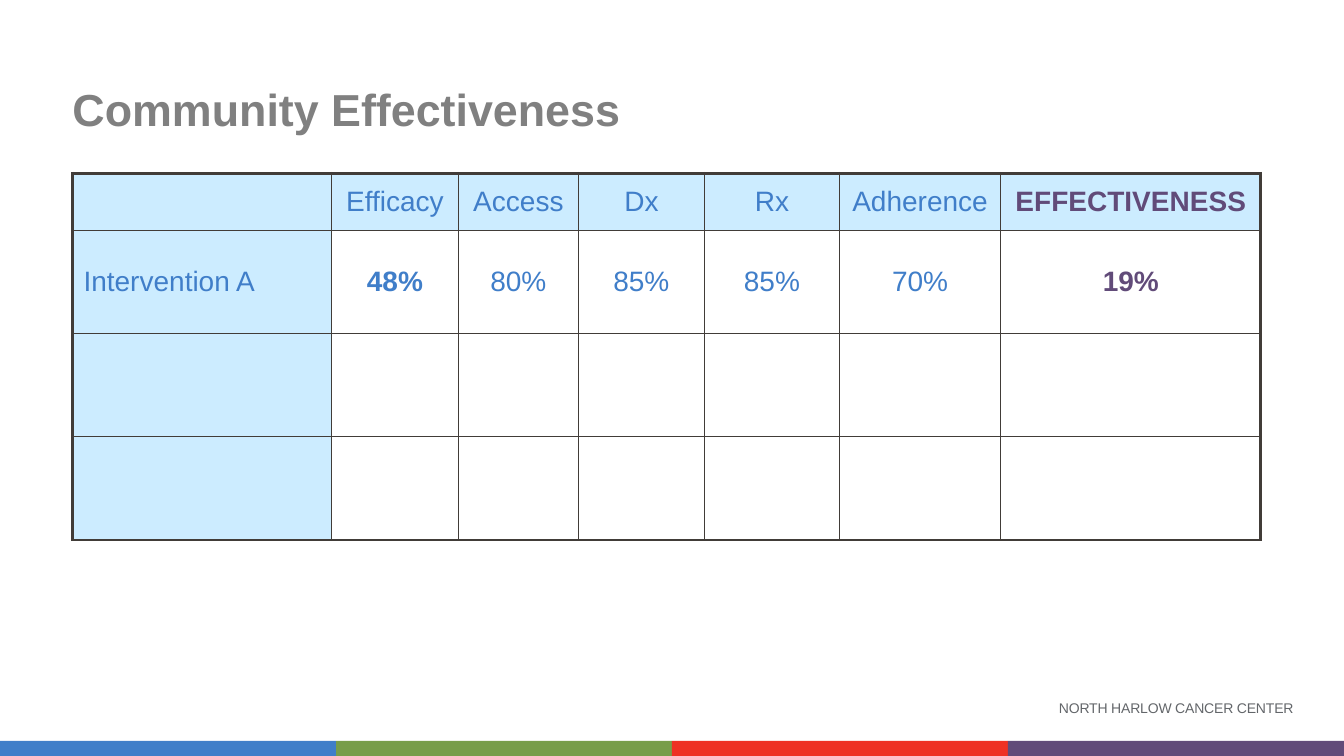
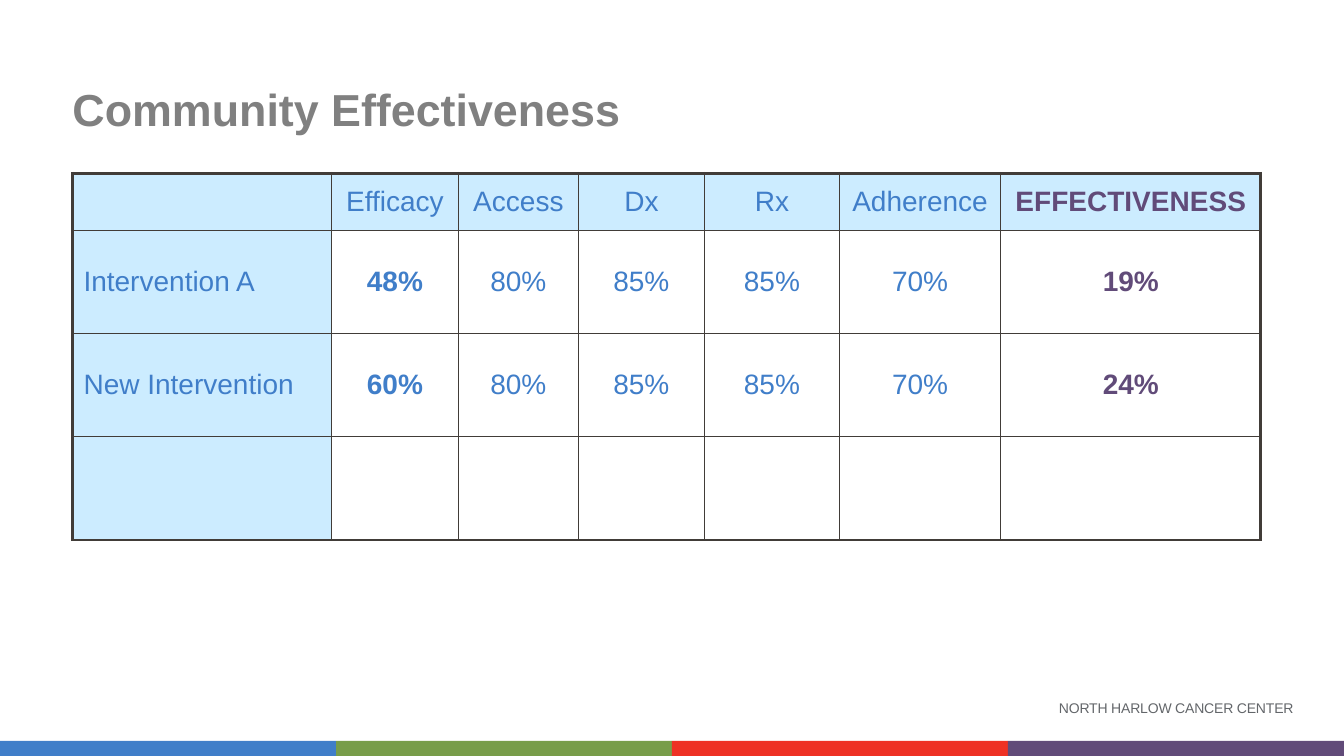
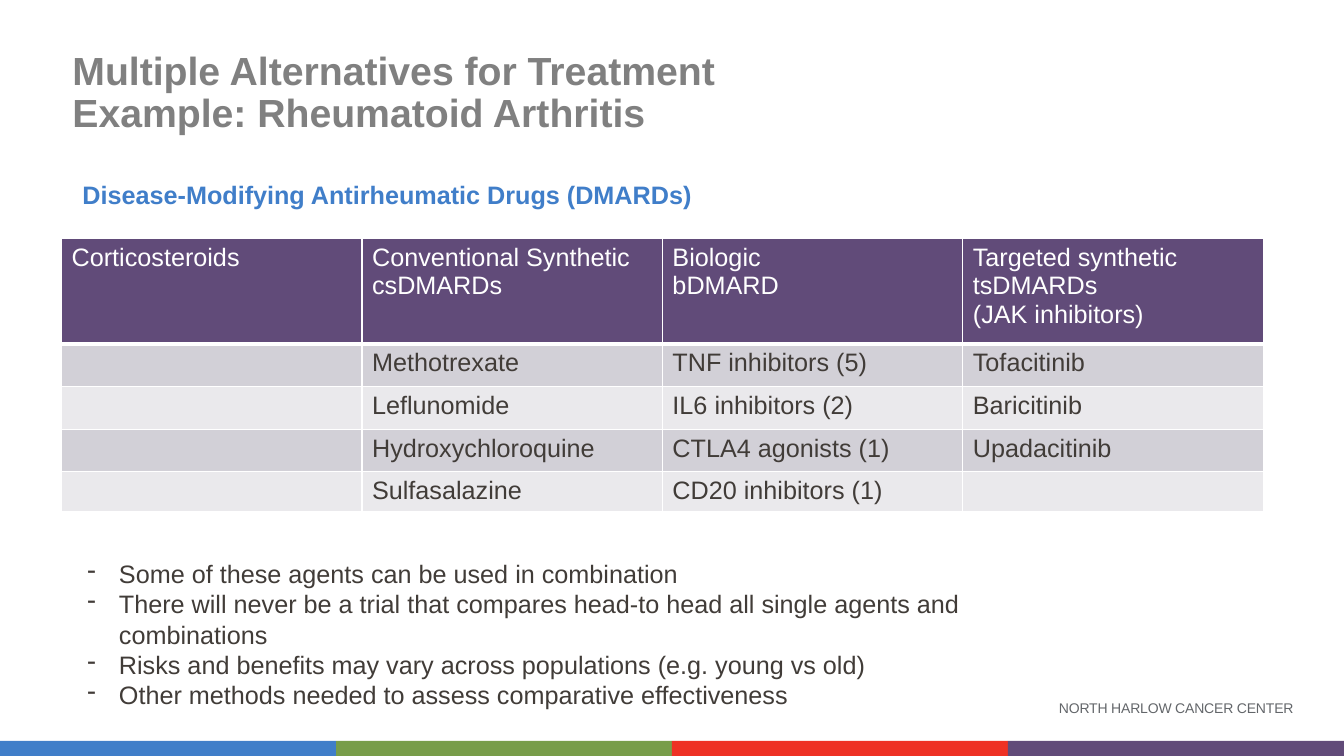
from dataclasses import dataclass
from typing import Callable, NamedTuple, Optional

from lxml import etree
from pptx import Presentation
from pptx import util as u
from pptx.dml.color import RGBColor
from pptx.enum import shapes, text
from pptx.oxml import ns
from pptx.slide import Slide

FONT = "Arial"
BLUE, GREEN, RED, PURPLE = "407EC9", "789D4A", "EE3124", "614B79"
INK, WHITE, TITLE_GRAY, FOOTER_GRAY = "413C38", "FFFFFF", "808080", "63666A"
PALE_BLUE, BAND_DARK, BAND_LIGHT = "CCECFF", "D2D0D7", "EAE9EC"
SLIDE_WIDTH, SLIDE_HEIGHT, STRIPE_HEIGHT = 960, 540, 10.8
LEFT, CENTER, RIGHT = text.PP_ALIGN.LEFT, text.PP_ALIGN.CENTER, text.PP_ALIGN.RIGHT
TOP, MIDDLE, BOTTOM = text.MSO_ANCHOR.TOP, text.MSO_ANCHOR.MIDDLE, text.MSO_ANCHOR.BOTTOM


class Box(NamedTuple):
    left: float
    top: float
    width: float
    height: float


@dataclass(frozen=True)
class TextStyle:
    size: float
    color: str
    bold: bool = False
    align: text.PP_ALIGN = LEFT
    anchor: text.MSO_ANCHOR = TOP
    line_spacing: Optional[float] = None


@dataclass(frozen=True)
class CellStyle:
    text_style: TextStyle
    fill: Optional[str]
    borders: dict[str, float]


@dataclass(frozen=True)
class Grid:
    left: float
    top: float
    columns: list[float]
    rows: list[float]
    line_color: str
    side_margin: float
    style_for: Callable[[int, int], CellStyle]


def rgb(color: str) -> RGBColor:
    return RGBColor.from_string(color)


def format_paragraph(paragraph, style: TextStyle) -> None:
    paragraph.alignment = style.align
    if style.line_spacing:
        paragraph.line_spacing = style.line_spacing
    for run in paragraph.runs:
        run.font.name = FONT
        run.font.size = u.Pt(style.size)
        run.font.bold = style.bold
        run.font.color.rgb = rgb(style.color)


def add_text(slide: Slide, box: Box, lines: list[str], style: TextStyle,
             inset: bool = True, wrap: bool = True):
    frame = slide.shapes.add_textbox(*map(u.Pt, box)).text_frame
    frame.word_wrap = wrap
    frame.vertical_anchor = style.anchor
    if not inset:
        frame.margin_left = frame.margin_right = frame.margin_top = frame.margin_bottom = 0
    for index, line in enumerate(lines):
        paragraph = frame.add_paragraph() if index else frame.paragraphs[0]
        paragraph.text = line
        format_paragraph(paragraph, style)
    return frame


def add_dashes(frame, indent: float) -> None:
    for paragraph in frame.paragraphs:
        properties = paragraph._p.get_or_add_pPr()
        properties.set("marL", str(u.Pt(indent)))
        properties.set("indent", str(-u.Pt(indent)))
        etree.SubElement(properties, ns.qn("a:buChar"), char="-")


def set_borders(cell, color: str, widths: dict[str, float]) -> None:
    properties = cell._tc.get_or_add_tcPr()
    for side, width in widths.items():
        line = etree.SubElement(properties, ns.qn(f"a:ln{side}"), w=str(u.Pt(width)))
        fill = etree.SubElement(line, ns.qn("a:solidFill"))
        etree.SubElement(fill, ns.qn("a:srgbClr"), val=color)


def add_grid(slide: Slide, grid: Grid, contents: list[list[str]]) -> None:
    table = slide.shapes.add_table(
        len(grid.rows), len(grid.columns), u.Pt(grid.left), u.Pt(grid.top),
        u.Pt(sum(grid.columns)), u.Pt(sum(grid.rows))).table
    table.first_row = table.horz_banding = False
    for column, width in zip(table.columns, grid.columns):
        column.width = u.Pt(width)
    for row, height in zip(table.rows, grid.rows):
        row.height = u.Pt(height)
    for row in range(len(grid.rows)):
        for column in range(len(grid.columns)):
            cell = table.cell(row, column)
            style = grid.style_for(row, column)
            set_borders(cell, grid.line_color, style.borders)
            if style.fill:
                cell.fill.solid()
                cell.fill.fore_color.rgb = rgb(style.fill)
            else:
                cell.fill.background()
            cell.margin_left = cell.margin_right = u.Pt(grid.side_margin)
            cell.vertical_anchor = style.text_style.anchor
            if row < len(contents):
                cell.text_frame.text = contents[row][column]
            for paragraph in cell.text_frame.paragraphs:
                format_paragraph(paragraph, style.text_style)


def intervention_style(row: int, column: int) -> CellStyle:
    last = column == len(INTERVENTION_GRID.columns) - 1
    style = TextStyle(20, PURPLE if last else BLUE, last or (row > 0 and column == 1),
                      CENTER if column else LEFT, MIDDLE)
    borders = {"L": 1 if column else 2.25, "R": 2.25 if last else 1,
               "T": 1 if row else 2.25, "B": 1}
    return CellStyle(style, None if row and column else PALE_BLUE, borders)


def drug_style(row: int, column: int) -> CellStyle:
    fill = (BAND_DARK if row % 2 else BAND_LIGHT) if row else PURPLE
    borders = {"L": 1, "R": 1, "T": 3 if row == 1 else 1, "B": 1 if row else 3}
    return CellStyle(TextStyle(18, INK if row else WHITE), fill, borders)


TITLE_BOX = Box(51.8, 30.2, 872, 67)
FOOTER_BOX = Box(745.2, 482.4, 178.6, 46.8)
FOOTER_STYLE = TextStyle(10, FOOTER_GRAY, align=RIGHT, anchor=MIDDLE)
INTERVENTION_GRID = Grid(51.8, 123.8, [185, 90.7, 85.7, 90, 96.5, 115.2, 185.8],
                         [41, 73.4, 73.4, 74.2], INK, 7.9, intervention_style)
DRUG_GRID = Grid(44, 170.6, [214.6] * 4, [75.2, 30.4, 30.4, 30.4, 27], WHITE, 7.2, drug_style)

INTERVENTIONS = [
    ["", "Efficacy", "Access", "Dx", "Rx", "Adherence", "EFFECTIVENESS"],
    ["Intervention A", "48%", "80%", "85%", "85%", "70%", "19%"],
    ["New Intervention", "60%", "80%", "85%", "85%", "70%", "24%"],
]
DRUGS = [
    ["Corticosteroids", "Conventional Synthetic csDMARDs", "Biologic\nbDMARD",
     "Targeted synthetic\ntsDMARDs\n(JAK inhibitors)"],
    ["", "Methotrexate", "TNF inhibitors (5)", "Tofacitinib"],
    ["", "Leflunomide", "IL6 inhibitors (2)", "Baricitinib"],
    ["", "Hydroxychloroquine", "CTLA4 agonists (1)", "Upadacitinib"],
    ["", "Sulfasalazine", "CD20 inhibitors (1)", ""],
]
REMARKS = [
    "Some of these agents can be used in combination",
    "There will never be a trial that compares head-to head all single agents and combinations",
    "Risks and benefits may vary across populations (e.g. young vs old)",
    "Other methods needed to assess comparative effectiveness",
]


def add_base_slide(presentation, title: str, title_size: float) -> Slide:
    slide = presentation.slides.add_slide(presentation.slide_layouts[6])
    footer = add_text(slide, FOOTER_BOX, ["NORTH HARLOW CANCER CENTER"], FOOTER_STYLE, inset=False)
    footer.paragraphs[0].runs[0].font._element.set("spc", "-10")
    colors = [BLUE, GREEN, RED, PURPLE]
    width = SLIDE_WIDTH / len(colors)
    for index, color in enumerate(colors):
        box = Box(index * width, SLIDE_HEIGHT - STRIPE_HEIGHT, width, STRIPE_HEIGHT)
        stripe = slide.shapes.add_shape(shapes.MSO_SHAPE.RECTANGLE, *map(u.Pt, box))
        stripe.shadow.inherit = False
        stripe.fill.solid()
        stripe.fill.fore_color.rgb = rgb(color)
        stripe.line.fill.background()
    style = TextStyle(title_size, TITLE_GRAY, True, anchor=BOTTOM, line_spacing=0.9)
    add_text(slide, TITLE_BOX, [title], style, inset=False)
    return slide


def add_effectiveness_slide(presentation, intervention_count: int) -> None:
    slide = add_base_slide(presentation, "Community Effectiveness", 32)
    add_grid(slide, INTERVENTION_GRID, INTERVENTIONS[:intervention_count + 1])


def add_alternatives_slide(presentation) -> None:
    slide = add_base_slide(
        presentation, "Multiple Alternatives for Treatment\nExample: Rheumatoid Arthritis", 28)
    add_grid(slide, DRUG_GRID, DRUGS)
    add_text(slide, Box(51.8, 124.6, 455, 28.8),
             ["Disease-Modifying Antirheumatic Drugs (DMARDs)"],
             TextStyle(18, BLUE, True), wrap=False)
    remarks = add_text(slide, Box(55.4, 395.3, 663, 116.6), REMARKS, TextStyle(18, INK))
    add_dashes(remarks, 22.5)


def main() -> None:
    presentation = Presentation()
    presentation.slide_width = u.Pt(SLIDE_WIDTH)
    presentation.slide_height = u.Pt(SLIDE_HEIGHT)
    for intervention_count in (1, 2):
        add_effectiveness_slide(presentation, intervention_count)
    add_alternatives_slide(presentation)
    presentation.save("out.pptx")


if __name__ == "__main__":
    main()
